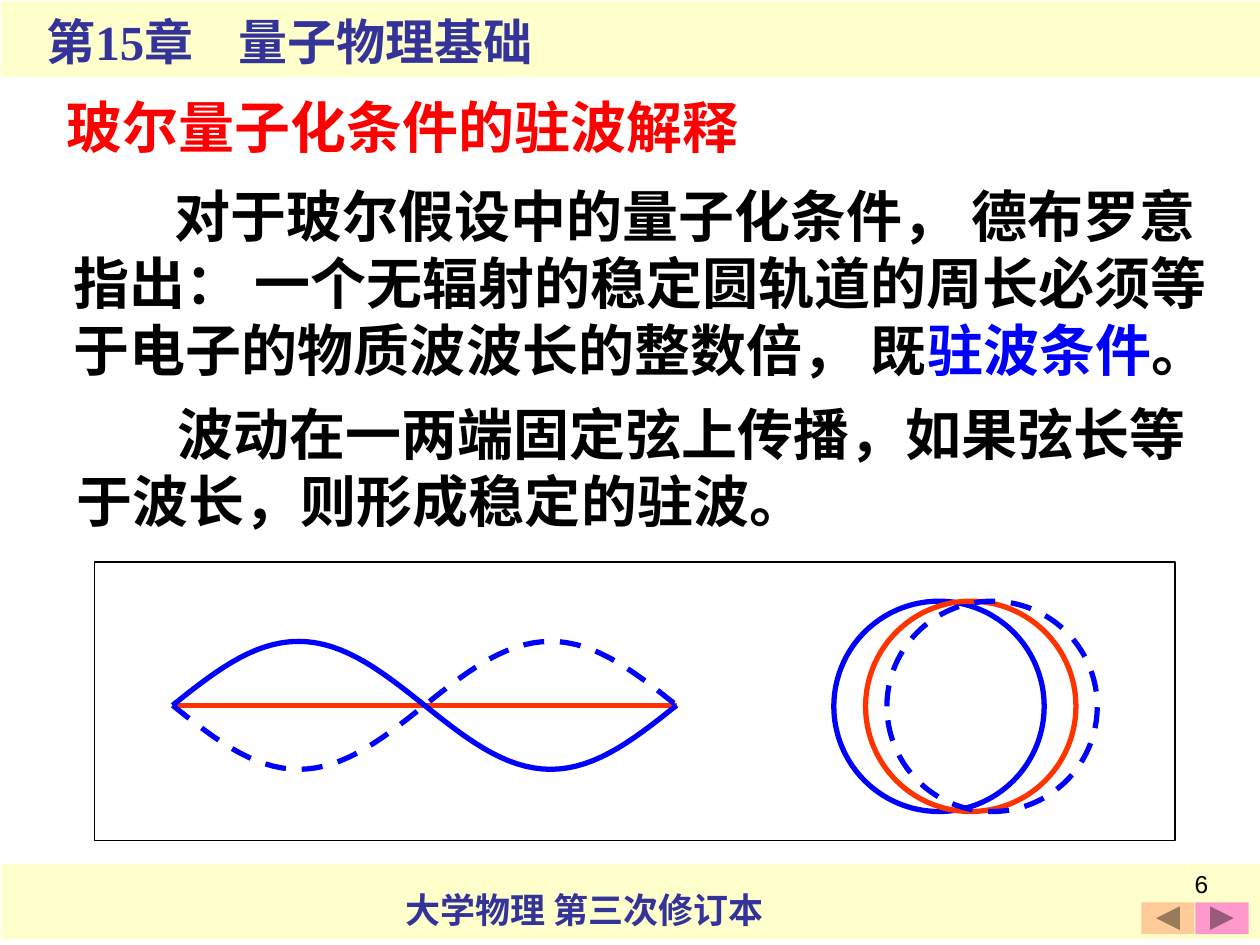
from math import pi, sin

from lxml.etree import SubElement
from pptx import Presentation
from pptx.dml.color import RGBColor
from pptx.enum.dml import MSO_LINE
from pptx.enum.shapes import MSO_CONNECTOR, MSO_SHAPE
from pptx.enum.text import MSO_ANCHOR, MSO_AUTO_SIZE, PP_ALIGN
from pptx.oxml.ns import qn
from pptx.util import Cm, Pt

CREAM = RGBColor(0xFF, 0xFF, 0xCC)
WHITE = RGBColor(0xFF, 0xFF, 0xFF)
BLACK = RGBColor(0, 0, 0)
INDIGO = RGBColor(0x33, 0x33, 0x99)
RED = RGBColor(0xFF, 0, 0)
BLUE = RGBColor(0, 0, 0xFF)
ORANGE = RGBColor(0xFF, 0x33, 0)
PINK = RGBColor(0xFF, 0x99, 0xCC)
PEACH = RGBColor(0xFF, 0xCC, 0x99)

SERIF = "Times New Roman"
HEADER = {"name": SERIF, "size": Pt(28), "bold": True}
FOOTER = {"name": SERIF, "size": Pt(20), "bold": True}
BODY = {"name": SERIF, "size": Pt(32), "bold": True}
NUMBER = {"name": "Arial", "size": Pt(14), "bold": False}

# All places are left, top, width, height in centimetres.
TITLE = ((1.09, 1.73, 17, 1.63), BODY, [("玻尔量子化条件的驻波解释", RED)])
CHAPTER = ((0.69, 0.1, 11.33, 1.45), HEADER, [("第15章\t量子物理基础", INDIGO)])
BOOK = ((7.92, 17.78, 8.1, 1.12), FOOTER, [("大学物理 第三次修订本", INDIGO)])
PAGE_NUMBER = ((18.69, 17.4, 5.92, 1.32), NUMBER, [("6", BLACK)])
PARAGRAPHS = [
    ((1.24, 3.53, 23.65, 4.32), BODY, [
        ("对于玻尔假设中的量子化条件， 德布罗意指出： 一个无辐射的稳定圆轨道的周长"
         "必须等于电子的物质波波长的整数倍， 既", BLACK),
        ("驻波条件", BLUE),
        ("。", BLACK)]),
    ((1.3, 7.92, 23.62, 2.97), BODY, [
        ("波动在一两端固定弦上传播，如果弦长等于波长，则形成稳定的驻波。", BLACK)]),
]
FIRST_LINE_INDENT = Cm(2.03)
CHAPTER_TAB = Cm(3.87)

BANDS = [(0.03, 17.42, 25.37, 1.52), (0.03, 0.03, 25.37, 1.52)]
BUTTONS = [
    (MSO_SHAPE.ACTION_BUTTON_FORWARD_OR_NEXT, (24.1, 18.19, 1.07, 0.64), PINK),
    (MSO_SHAPE.ACTION_BUTTON_BACK_OR_PREVIOUS, (23.01, 18.19, 1.07, 0.64), PEACH),
]
FRAME = (1.9, 11.33, 21.79, 5.61)

STRING_LEFT, STRING_Y, STRING_LENGTH = 3.48, 14.22, 10.16
AMPLITUDE, WAVE_STEPS = 1.29, 60
WAVES = [(1, MSO_LINE.SOLID), (-1, MSO_LINE.DASH)]

ORBIT_TOP, ORBIT_SIZE = 12.12, 4.24
ORBITS = [
    (16.81, BLUE, MSO_LINE.SOLID),
    (17.45, ORANGE, MSO_LINE.SOLID),
    (17.88, BLUE, MSO_LINE.DASH),
]


def place(box, at):
    box.left, box.top, box.width, box.height = map(Cm, at)


def write(box, content):
    at, font_format, spans = content
    place(box, at)
    frame = box.text_frame
    for name, value in {"word_wrap": True, "auto_size": MSO_AUTO_SIZE.NONE,
                        "vertical_anchor": MSO_ANCHOR.TOP}.items():
        setattr(frame, name, value)
    para = frame.paragraphs[0]
    para.alignment = PP_ALIGN.LEFT
    for text, color in spans:
        span = para.add_run()
        span.text = text
        for name, value in font_format.items():
            setattr(span.font, name, value)
        span.font.color.rgb = color
    return para


def add_text(page, content):
    return write(page.shapes.add_textbox(0, 0, 0, 0), content)


def add_filled(page, kind, at, color):
    shape = page.shapes.add_shape(kind, *map(Cm, at))
    shape.shadow.inherit = False
    shape.fill.solid()
    shape.fill.fore_color.rgb = color
    shape.line.fill.background()
    return shape


def draw_line(line, color, width=3, dash=MSO_LINE.SOLID):
    line.color.rgb = color
    line.width = Pt(width)
    line.dash_style = dash


def add_string(page):
    string = page.shapes.add_connector(
        MSO_CONNECTOR.STRAIGHT, Cm(STRING_LEFT), Cm(STRING_Y),
        Cm(STRING_LEFT + STRING_LENGTH), Cm(STRING_Y))
    draw_line(string.line, ORANGE)
    SubElement(string._element.spPr, qn("a:effectLst"))


def add_wave(page, direction, dash):
    points = [
        (Cm(STRING_LEFT + STRING_LENGTH * step / WAVE_STEPS),
         Cm(STRING_Y - direction * AMPLITUDE * sin(2 * pi * step / WAVE_STEPS)))
        for step in range(WAVE_STEPS + 1)]
    builder = page.shapes.build_freeform(*points[0])
    builder.add_line_segments(points[1:], close=False)
    wave = builder.convert_to_shape()
    wave.shadow.inherit = False
    wave.fill.background()
    draw_line(wave.line, BLUE, dash=dash)


def add_orbit(page, left, color, dash):
    at = (left, ORBIT_TOP, ORBIT_SIZE, ORBIT_SIZE)
    orbit = add_filled(page, MSO_SHAPE.OVAL, at, WHITE)
    orbit.fill.background()
    draw_line(orbit.line, color, dash=dash)


def main():
    deck = Presentation()
    deck.slide_width, deck.slide_height = Cm(25.4), Cm(19.05)
    page = deck.slides.add_slide(deck.slide_layouts[5])

    for band in BANDS:
        add_filled(page, MSO_SHAPE.RECTANGLE, band, CREAM)
    add_text(page, BOOK)
    chapter = add_text(page, CHAPTER)
    tabs = SubElement(chapter._p.get_or_add_pPr(), qn("a:tabLst"))
    SubElement(tabs, qn("a:tab"), pos=str(CHAPTER_TAB), algn="l")
    for button in BUTTONS:
        add_filled(page, *button)

    write(page.shapes.title, TITLE)
    for content in PARAGRAPHS:
        para = add_text(page, content)
        para._p.get_or_add_pPr().set("indent", str(FIRST_LINE_INDENT))

    frame = add_filled(page, MSO_SHAPE.RECTANGLE, FRAME, WHITE)
    draw_line(frame.line, BLACK, width=0.75)
    add_string(page)
    for wave in WAVES:
        add_wave(page, *wave)
    for orbit in ORBITS:
        add_orbit(page, *orbit)

    add_text(page, PAGE_NUMBER).alignment = PP_ALIGN.RIGHT
    deck.save("out.pptx")


if __name__ == "__main__":
    main()
